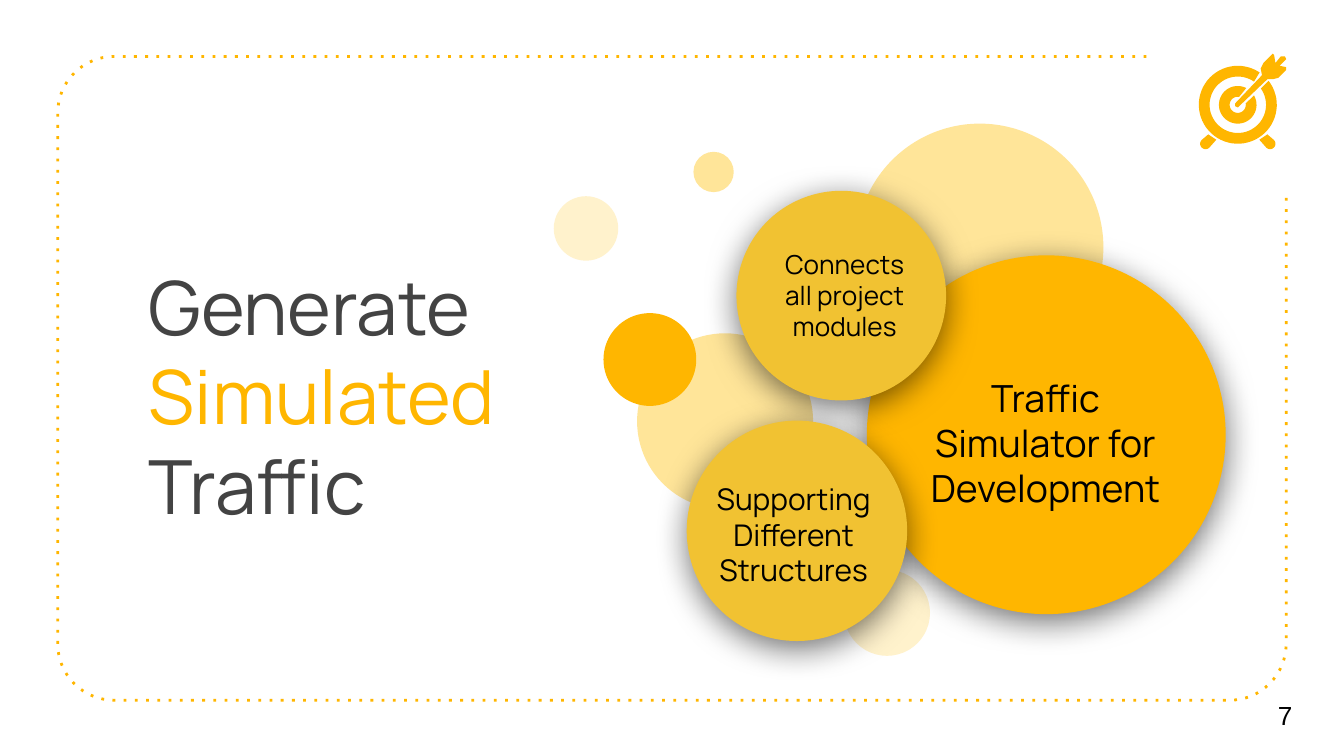
from math import cos, radians, sin

from lxml.etree import SubElement
from pptx import Presentation
from pptx.dml.color import RGBColor
from pptx.enum.dml import MSO_LINE
from pptx.enum.shapes import MSO_SHAPE
from pptx.enum.text import MSO_ANCHOR, PP_ALIGN
from pptx.oxml.ns import qn
from pptx.util import Inches, Pt

AMBER, GOLD, SAND, CREAM = "FFB600", "F1C232", "FFE599", "FFF2CC"
DARK, BLACK = "434343", "000000"


def color(value):
    return RGBColor.from_string(value)


def arc(x, y, radius, start, end, steps=16):
    angles = [radians(start + (end - start) * i / steps) for i in range(steps + 1)]
    return [(x + radius * cos(a), y - radius * sin(a)) for a in angles]


class SlideBuilder:
    font = "Manrope"

    def __init__(self, slide):
        self.slide = slide

    def circle(self, left, top, size, fill, shadow=False):
        shape = self.slide.shapes.add_shape(
            MSO_SHAPE.OVAL, Inches(left), Inches(top), Inches(size), Inches(size))
        shape.shadow.inherit = False
        shape.fill.solid()
        shape.fill.fore_color.rgb = color(fill)
        shape.line.fill.background()
        if shadow:
            effects = shape._element.spPr.find(qn("a:effectLst"))
            outer = SubElement(effects, qn("a:outerShdw"), blurRad=str(Pt(18)),
                               dist=str(Pt(4)), dir="5400000", algn="bl", rotWithShape="0")
            tint = SubElement(outer, qn("a:srgbClr"), val=BLACK)
            SubElement(tint, qn("a:alpha"), val="55000")

    def text(self, left, top, width, height, runs, size, font=None,
             align=PP_ALIGN.CENTER, anchor=MSO_ANCHOR.MIDDLE):
        box = self.slide.shapes.add_textbox(
            Inches(left), Inches(top), Inches(width), Inches(height))
        frame = box.text_frame
        frame.word_wrap = True
        frame.vertical_anchor = anchor
        frame.margin_left = frame.margin_right = Inches(0.1)
        frame.margin_top = frame.margin_bottom = Inches(0.1)
        paragraph = frame.paragraphs[0]
        paragraph.alignment = align
        paragraph.font.name = font or self.font
        paragraph.font.size = Pt(size)
        for words, tone in runs:
            run = paragraph.add_run()
            run.text = words
            run.font.color.rgb = color(tone)

    def outline(self, points, closed=True):
        corners = [(Inches(x), Inches(y)) for x, y in points]
        builder = self.slide.shapes.build_freeform(*corners[0])
        builder.add_line_segments(corners[1:], close=closed)
        shape = builder.convert_to_shape()
        shape.shadow.inherit = False
        return shape

    def solid(self, points):
        shape = self.outline(points)
        shape.fill.solid()
        shape.fill.fore_color.rgb = color(AMBER)
        shape.line.fill.background()

    def dotted(self, points):
        shape = self.outline(points, closed=False)
        shape.fill.background()
        shape.line.color.rgb = color(AMBER)
        shape.line.width = Pt(1.5)
        shape.line.dash_style = MSO_LINE.ROUND_DOT
        shape.line._ln.find(qn("a:prstDash")).set("val", "dot")

    def ring(self, x, y, outer, inner, outer_gap, inner_gap):
        self.solid(arc(x, y, outer, outer_gap[1], outer_gap[0] + 360, 60)
                   + arc(x, y, inner, inner_gap[0] + 360, inner_gap[1], 60))


presentation = Presentation()
presentation.slide_width = Inches(10)
presentation.slide_height = Inches(10) * 9 // 16
builder = SlideBuilder(presentation.slides.add_slide(presentation.slide_layouts[6]))

border = [(8.53, 0.42)]
for x, y, start in [(0.85, 0.84, 90), (0.85, 4.79, 180), (9.15, 4.79, 270)]:
    border += arc(x, y, 0.42, start, start + 90)
builder.dotted(border + [(9.57, 1.46)])

builder.text(1.01, 1.84, 3.57, 0.94,
             [("Generate ", DARK), ("Simulated", AMBER), (" Traffic", DARK)],
             40, align=PP_ALIGN.LEFT, anchor=MSO_ANCHOR.TOP)
builder.text(9.41, 5.02, 0.59, 0.6, [("7", BLACK)], 14, "Arial", PP_ALIGN.LEFT)

for bubble in [
    (6.28, 4.24, 0.64, CREAM),
    (4.12, 1.46, 0.48, CREAM),
    (4.74, 2.48, 1.31, SAND),
    (6.37, 0.92, 1.84, SAND),
    (4.49, 2.33, 0.69, AMBER),
    (5.16, 1.13, 0.3, SAND),
]:
    builder.circle(*bubble)

for disc, label_area, label, size in [
    ((6.45, 1.9, 2.67, AMBER), (6.76, 2.66, 2.04, 1.27),
     "Traffic Simulator for Development", 20),
    ((5.48, 1.42, 1.56, GOLD), (5.73, 1.68, 1.11, 1.03),
     "Connects all project modules", 14),
    ((5.11, 3.13, 1.64, GOLD), (5.16, 3.46, 1.49, 1.03),
     "Supporting Different Structures", 16),
]:
    builder.circle(*disc, shadow=True)
    builder.text(*label_area, [(label, BLACK)], size)

target_x, target_y = 9.21, 0.78
builder.ring(target_x, target_y, 0.29, 0.21, (38, 56), (35, 55))
builder.ring(target_x, target_y, 0.14, 0.06, (30, 63), (10, 80))

left_foot = [(9.05, 1.04), (8.99, 1)] + arc(8.97, 1.07, 0.04, 135, 315)
builder.solid(left_foot)
builder.solid([(2 * target_x - x, y) for x, y in left_foot])

builder.solid([
    (9.47, 0.4), (9.4, 0.47), (9.38, 0.51), (9.39, 0.56), (9.19, 0.77),
    (9.19, 0.79), (9.21, 0.8), (9.43, 0.59), (9.47, 0.59), (9.51, 0.58),
    (9.57, 0.52), (9.57, 0.5), (9.52, 0.49), (9.57, 0.44), (9.56, 0.42),
    (9.53, 0.42), (9.49, 0.47), (9.48, 0.41),
])

presentation.save("out.pptx")
